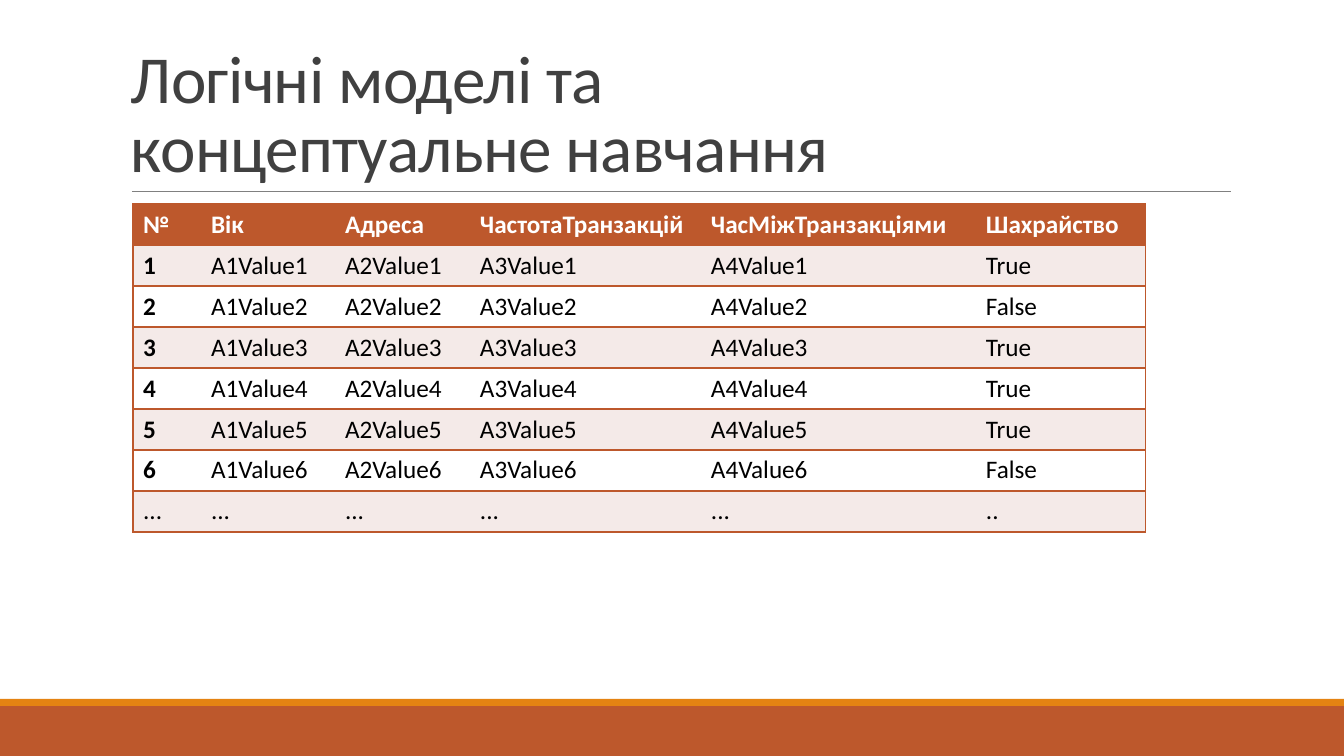
from lxml.etree import SubElement
from pptx import Presentation
from pptx.dml.color import RGBColor
from pptx.enum.shapes import MSO_CONNECTOR as Connector, MSO_SHAPE as Shape
from pptx.enum.text import MSO_ANCHOR as Anchor
from pptx.oxml.ns import qn
from pptx.util import Pt

EMU_PER_PX = 914400 / 100.8
WIDTH, HEIGHT = 1344, 756
RUST, ORANGE, BLUSH, WHITE = "BD582C", "E48312", "F4EAE8", "FFFFFF"
NO_STYLE = "{2D5ABB26-0587-4C30-8999-92F81FD0307C}"

TITLE = "Логічні моделі та\vконцептуальне навчання"
HEADINGS = ["№", "Вік", "Адреса", "ЧастотаТранзакцій", "ЧасМіжТранзакціями", "Шахрайство"]
FRAUD = ["True", "False", "True", "True", "True", "False"]
COLUMN_WIDTHS = [68, 134, 135, 231, 275, 170]
ROW_HEIGHT = 41


def px(*lengths):
    """Turn pixel lengths into EMU."""
    return [round(length * EMU_PER_PX) for length in lengths]


def color(hex_string):
    """Turn a hex string into a colour."""
    return RGBColor.from_string(hex_string)


def style_font(font, hex_string, **values):
    """Set the colour and the given values of a font."""
    font.color.rgb = color(hex_string)
    for key, value in {"name": "Calibri", **values}.items():
        setattr(font, key, value)


def add_band(slide, box, fill):
    """Draw a plain band over the box."""
    band = slide.shapes.add_shape(Shape.RECTANGLE, *px(*box))
    band.shadow.inherit = False
    band.fill.solid()
    band.fill.fore_color.rgb = color(fill)
    band.line.fill.background()


def add_footer(slide, left, top, width, height):
    """Draw the thick band with its thin accent on top."""
    accent = 7
    add_band(slide, (left, top + accent, width, height - accent), RUST)
    add_band(slide, (left, top, width, accent), ORANGE)


def add_title(slide, left, top, width, height):
    """Write the title above its rule."""
    bottom = top + height
    rule = slide.shapes.add_connector(
        Connector.STRAIGHT, *px(left + 11, bottom, left + width, bottom))
    rule.line.color.rgb = color("808080")
    rule.line.width = Pt(0.5)
    SubElement(rule._element.spPr, qn("a:effectLst"))

    frame = slide.shapes.add_textbox(*px(left, top, width, height)).text_frame
    frame.word_wrap = True
    frame.vertical_anchor = Anchor.BOTTOM
    heading = frame.paragraphs[0]
    heading.text = TITLE
    heading.line_spacing = 0.85
    for run in heading.runs:
        style_font(run.font, "404040", size=Pt(48))
        run._r.get_or_add_rPr().set("spc", "-50")


def add_borders(cell, sides):
    """Draw one-point borders on the given sides of a cell."""
    properties = cell._tc.get_or_add_tcPr()
    for side in sides:
        border = SubElement(properties, qn(f"a:ln{side}"), w=str(Pt(1)))
        fill = SubElement(border, qn("a:solidFill"))
        SubElement(fill, qn("a:srgbClr"), val=RUST)


def add_transactions(slide, left, top):
    """Build the table of transactions."""
    records = [[str(number), *(f"A{attribute}Value{number}" for attribute in range(1, 5)), fraud]
               for number, fraud in enumerate(FRAUD, 1)]
    rows = [HEADINGS, *records, ["..."] * 5 + [".."]]
    size = sum(COLUMN_WIDTHS), ROW_HEIGHT * len(rows)
    table = slide.shapes.add_table(
        len(rows), len(HEADINGS), *px(left, top, *size)).table
    table._tbl.tblPr.find(qn("a:tableStyleId")).text = NO_STYLE
    table.horz_banding = False
    for column, width in zip(table.columns, px(*COLUMN_WIDTHS)):
        column.width = width
    for r, row in enumerate(rows):
        table.rows[r].height = px(ROW_HEIGHT)[0]
        for c, text in enumerate(row):
            cell = table.cell(r, c)
            add_borders(cell, "L" * (c == 0) + "R" * (c == len(row) - 1) + "TB")
            cell.fill.solid()
            cell.fill.fore_color.rgb = color(RUST if r == 0 else BLUSH if r % 2 else WHITE)
            cell.text = text
            style_font(cell.text_frame.paragraphs[0].runs[0].font,
                       "000000" if r else WHITE, size=Pt(18),
                       bold=r == 0 or (c == 0 and text.isdigit()))


def main():
    """Build the slide and save it."""
    deck = Presentation()
    deck.slide_width, deck.slide_height = px(WIDTH, HEIGHT)
    slide = deck.slides.add_slide(deck.slide_layouts[6])
    add_footer(slide, 0, 699, WIDTH, HEIGHT - 699)
    add_title(slide, 121, 31, 1110, 160)
    add_transactions(slide, 133, 204)
    deck.save("out.pptx")


if __name__ == "__main__":
    main()
